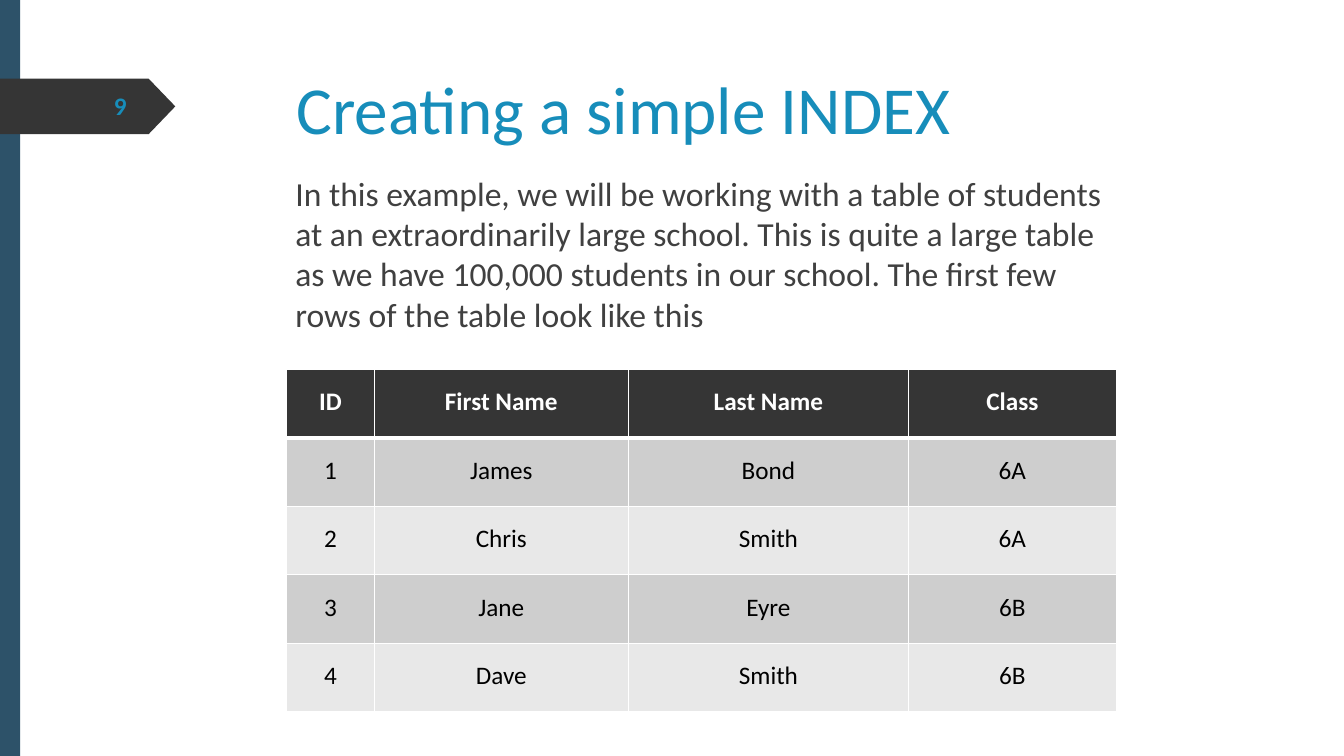
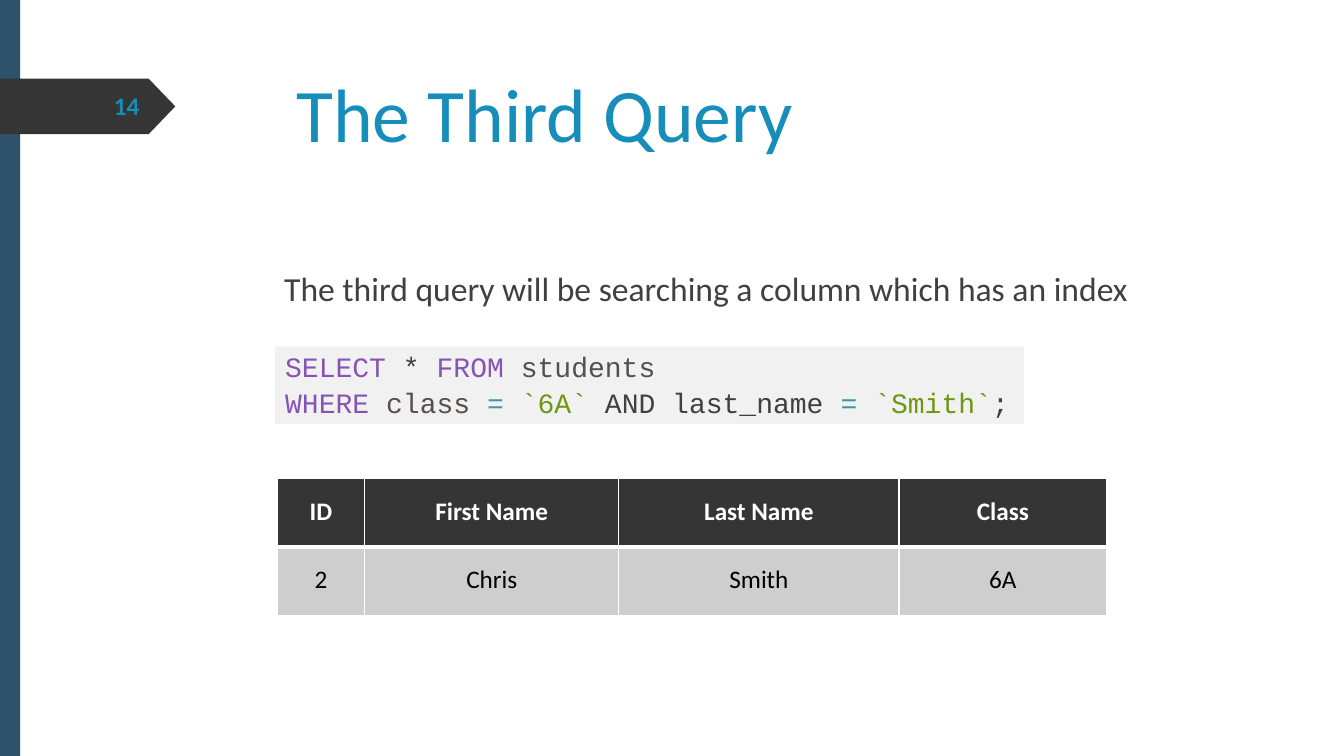
"""Builds two slides about database indexes, each with a title, text and a student table."""
from dataclasses import dataclass

from lxml import etree
from pptx import Presentation
from pptx.dml.color import RGBColor
from pptx.enum.shapes import MSO_SHAPE
from pptx.enum.text import MSO_ANCHOR, MSO_AUTO_SIZE, PP_ALIGN
from pptx.oxml.ns import qn
from pptx.util import Pt

RECTANGLE = MSO_SHAPE.RECTANGLE
PENTAGON = MSO_SHAPE.PENTAGON
TOP = MSO_ANCHOR.TOP
NO_AUTOFIT = MSO_AUTO_SIZE.NONE
LEFT = PP_ALIGN.LEFT
CENTER = PP_ALIGN.CENTER
TITLE_ONLY = 5


@dataclass(frozen=True)
class Theme:
    """Colours, fonts and type sizes of the deck."""
    accent: str = "178DBA"
    band: str = "2D5269"
    dark: str = "353535"
    text: str = "404040"
    white: str = "FFFFFF"
    black: str = "000000"
    row_odd: str = "CECECE"
    row_even: str = "E8E8E8"
    code_fill: str = "F1F1F1"
    keyword: str = "8755B1"
    name: str = "555049"
    operator: str = "3D999F"
    string: str = "6E9713"
    font: str = "Calibri"
    code_font: str = "Courier New"
    body_size: int = 24
    code_size: int = 20
    small_size: int = 18


THEME = Theme()
SLIDE_WIDTH, SLIDE_HEIGHT = 960, 540
COLUMN_WIDTHS = (62.6, 181.4, 200.2, 148.4)
ROW_HEIGHT = 48.9
TABLE_HEADER = ("ID", "First Name", "Last Name", "Class")
STUDENTS = (
    ("1", "James", "Bond", "6A"),
    ("2", "Chris", "Smith", "6A"),
    ("3", "Jane", "Eyre", "6B"),
    ("4", "Dave", "Smith", "6B"),
)
INTRODUCTION = (
    "In this example, we will be working with a table of students at an extraordinarily "
    "large school. This is quite a large table as we have 100,000 students in our school. "
    "The first few rows of the table look like this"
)
QUERY = (
    (("SELECT ", THEME.keyword), ("* ", THEME.text), ("FROM ", THEME.keyword),
     ("students", THEME.name)),
    (("WHERE ", THEME.keyword), ("class ", THEME.name), ("= ", THEME.operator),
     ("`6A` ", THEME.string), ("AND last_name ", THEME.text), ("= ", THEME.operator),
     ("`Smith`", THEME.string), (";", THEME.text)),
)


def add_run(paragraph, text, size, color, bold=False, font=THEME.font):
    """Append one formatted run to a paragraph."""
    run = paragraph.add_run()
    run.text = text
    run.font.name = font
    run.font.size = Pt(size)
    run.font.bold = bold
    run.font.color.rgb = RGBColor.from_string(color)


def prepare_frame(frame, left=0, top=1):
    """Set margins, wrapping and top anchoring of a text frame."""
    frame.margin_left, frame.margin_top = Pt(left), Pt(top)
    frame.margin_right = frame.margin_bottom = 0
    frame.word_wrap = True
    frame.auto_size = NO_AUTOFIT
    frame.vertical_anchor = TOP


def add_box(slide, preset, left, top, width, height, fill):
    """Add a flat filled shape without outline."""
    shape = slide.shapes.add_shape(preset, Pt(left), Pt(top), Pt(width), Pt(height))
    shape.shadow.inherit = False
    shape.fill.solid()
    shape.fill.fore_color.rgb = RGBColor.from_string(fill)
    shape.line.fill.background()
    return shape


def add_text(slide, text, left, top, width, height, size=THEME.body_size,
             color=THEME.text, bold=False):
    """Add a text box holding one paragraph."""
    box = slide.shapes.add_textbox(Pt(left), Pt(top), Pt(width), Pt(height))
    prepare_frame(box.text_frame)
    add_run(box.text_frame.paragraphs[0], text, size, color, bold)


def add_base_slide(presentation, title, title_size, number):
    """Add a slide with side band, number tag and title."""
    slide = presentation.slides.add_slide(presentation.slide_layouts[TITLE_ONLY])
    add_box(slide, RECTANGLE, 0, 0, 14.4, SLIDE_HEIGHT, THEME.band)
    tag = add_box(slide, PENTAGON, 0, 56.2, 125.2, 39.6, THEME.dark)
    tag.adjustments[0] = 0.48
    add_text(slide, number, 81.3, 63.4, 30, 24, THEME.small_size, THEME.accent, True)
    placeholder = slide.shapes.title
    placeholder.left, placeholder.top = Pt(182.2), Pt(46.8)
    placeholder.width, placeholder.height = Pt(725.8), Pt(68.4)
    prepare_frame(placeholder.text_frame, left=29.5)
    paragraph = placeholder.text_frame.paragraphs[0]
    paragraph.alignment = LEFT
    add_run(paragraph, title, title_size, THEME.accent)
    return slide


def add_code(slide, lines, left, top, width, height):
    """Add a shaded block of coloured code lines."""
    frame = add_box(slide, RECTANGLE, left, top, width, height, THEME.code_fill).text_frame
    prepare_frame(frame, left=7.2, top=2.5)
    for index, line in enumerate(lines):
        paragraph = frame.add_paragraph() if index else frame.paragraphs[0]
        paragraph.alignment = LEFT
        paragraph.space_before = Pt(1.4 if index else 0)
        for text, color in line:
            add_run(paragraph, text, THEME.code_size, color, font=THEME.code_font)


def set_borders(cell, top, bottom):
    """Draw white cell borders with the given top and bottom widths."""
    properties = cell._tc.get_or_add_tcPr()
    for tag, width in (("a:lnL", 1), ("a:lnR", 1), ("a:lnT", top), ("a:lnB", bottom)):
        line = etree.SubElement(properties, qn(tag), w=str(Pt(width)))
        fill = etree.SubElement(line, qn("a:solidFill"))
        etree.SubElement(fill, qn("a:srgbClr"), val=THEME.white)


def fill_cell(cell, text, row_index):
    """Write and style one table cell according to its row."""
    is_header = row_index == 0
    set_borders(cell, 3 if row_index == 1 else 1, 3 if is_header else 1)
    band = THEME.row_odd if row_index % 2 else THEME.row_even
    cell.fill.solid()
    cell.fill.fore_color.rgb = RGBColor.from_string(THEME.dark if is_header else band)
    cell.margin_left = cell.margin_right = cell.margin_bottom = 0
    cell.margin_top = Pt(12.6)
    cell.vertical_anchor = TOP
    paragraph = cell.text_frame.paragraphs[0]
    paragraph.alignment = CENTER
    add_run(paragraph, text, THEME.small_size,
            THEME.white if is_header else THEME.black, is_header)


def add_student_table(slide, students, left, top):
    """Add a table with the shared header and the given students."""
    rows = (TABLE_HEADER, *students)
    table = slide.shapes.add_table(
        len(rows), len(TABLE_HEADER), Pt(left), Pt(top),
        Pt(sum(COLUMN_WIDTHS)), Pt(ROW_HEIGHT * len(rows))).table
    for column, width in zip(table.columns, COLUMN_WIDTHS):
        column.width = Pt(width)
    for row_index, values in enumerate(rows):
        for column_index, value in enumerate(values):
            fill_cell(table.cell(row_index, column_index), value, row_index)


def main():
    """Build and save the presentation."""
    presentation = Presentation()
    presentation.slide_width, presentation.slide_height = Pt(SLIDE_WIDTH), Pt(SLIDE_HEIGHT)

    slide = add_base_slide(presentation, "Creating a simple INDEX", 48, "9")
    add_text(slide, INTRODUCTION, 211, 122.4, 582, 117.4)
    add_student_table(slide, STUDENTS, 204.8, 263.8)

    slide = add_base_slide(presentation, "The Third Query", 54, "14")
    add_text(slide, "The third query will be searching a column which has an index",
             203, 190.1, 620, 31)
    add_code(slide, QUERY, 196.6, 247.4, 535, 55.4)
    add_student_table(slide, STUDENTS[1:2], 198, 342)

    presentation.save("out.pptx")


if __name__ == "__main__":
    main()
